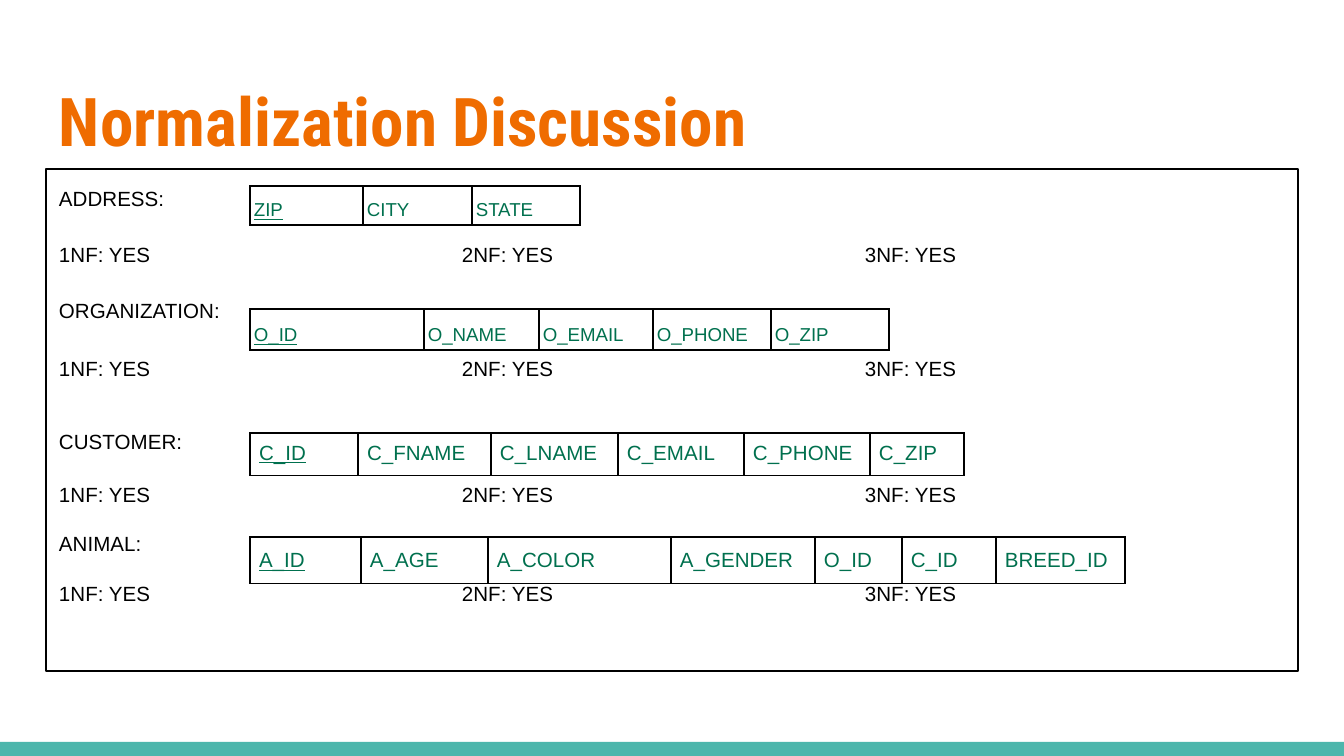
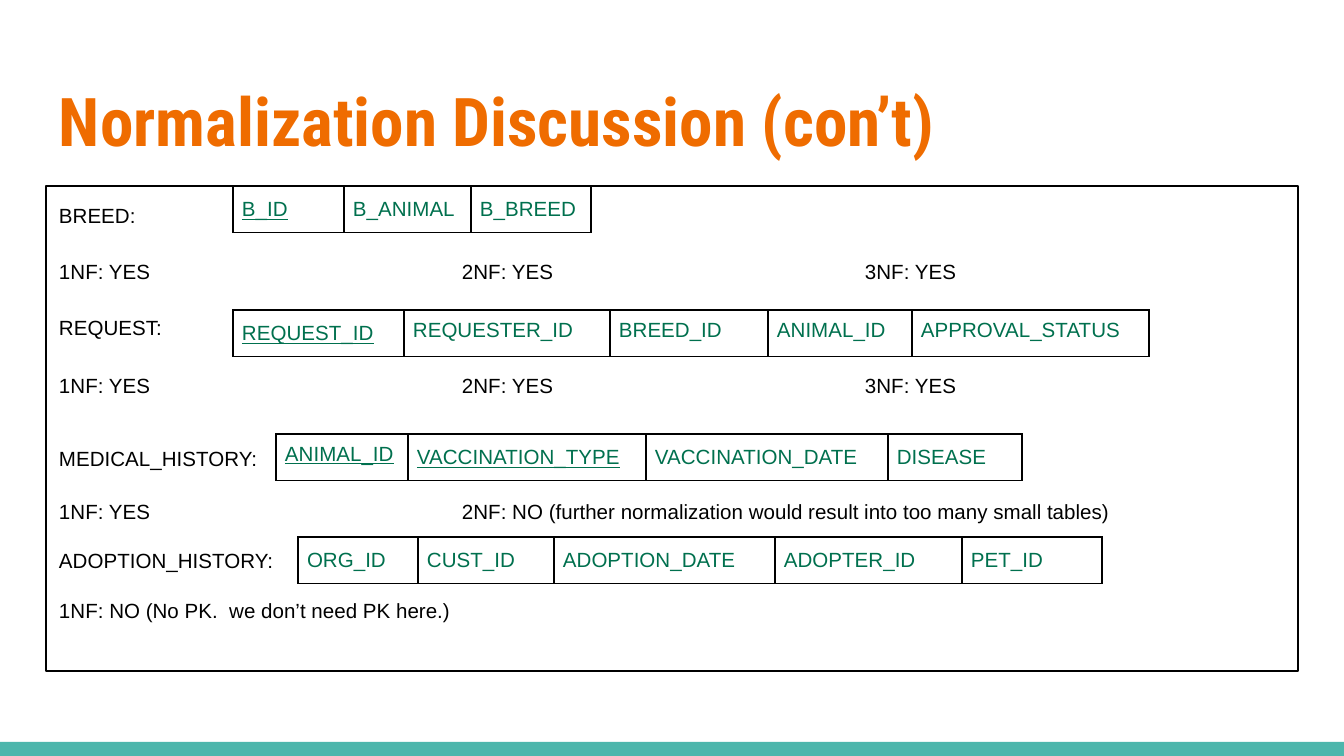
from lxml import etree
from pptx import Presentation
from pptx.dml.color import RGBColor
from pptx.enum.shapes import MSO_SHAPE
from pptx.enum.text import MSO_ANCHOR, PP_ALIGN
from pptx.oxml.ns import qn
from pptx.util import Emu, Pt

RECTANGLE = MSO_SHAPE.RECTANGLE
TOP, BOTTOM = MSO_ANCHOR.TOP, MSO_ANCHOR.BOTTOM
LEFT = PP_ALIGN.LEFT

# ---- Content -------------------------------------------------------------
# Field: (name, column width, marks); marks: k = key, s = single line spacing
# Table: (left, top, height, style, fields)
ALL_YES = ("1NF: YES", "2NF: YES", "3NF: YES")

SLIDES = [
    {
        "title": "Normalization Discussion",
        "panel_top": 169,
        "relations": [
            ("ADDRESS:", ALL_YES, (250, 186, 39, "compact", [
                ("ZIP", 113, "k"), ("CITY", 109, ""), ("STATE", 108, "")])),
            ("ORGANIZATION:", ALL_YES, (250, 309, 41, "compact", [
                ("O_ID", 174, "k"), ("O_NAME", 115, ""), ("O_EMAIL", 114, ""),
                ("O_PHONE", 118, ""), ("O_ZIP", 118, "")])),
            ("CUSTOMER:", ALL_YES, (250, 433, 42, "regular", [
                ("C_ID", 108, "ks"), ("C_FNAME", 133, "s"),
                ("C_LNAME", 127, "s"), ("C_EMAIL", 126, "s"),
                ("C_PHONE", 126, "s"), ("C_ZIP", 94, "s")])),
            ("ANIMAL:", ALL_YES, (250, 537, 45, "regular", [
                ("A_ID", 111, "k"), ("A_AGE", 127, ""), ("A_COLOR", 183, ""),
                ("A_GENDER", 144, ""), ("O_ID", 87, ""), ("C_ID", 94, ""),
                ("BREED_ID", 129, "")])),
        ],
    },
    {
        "title": "Normalization Discussion (con’t)",
        "panel_top": 186,
        "relations": [
            ("BREED:", ALL_YES, (233, 186, 45, "regular", [
                ("B_ID", 111, "k"), ("B_ANIMAL", 127, ""),
                ("B_BREED", 120, "")])),
            ("REQUEST:", ALL_YES, (233, 310, 45, "thin", [
                ("REQUEST_ID", 171, "k"), ("REQUESTER_ID", 206, "s"),
                ("BREED_ID", 158, "s"), ("ANIMAL_ID", 144, "s"),
                ("APPROVAL_STATUS", 237, "s")])),
            ("MEDICAL_HISTORY:",
             ("1NF: YES", "2NF: NO (further normalization would result "
              "into too many small tables)"),
             (276, 434, 45, "regular", [
                 ("ANIMAL_ID", 132, "ks"), ("VACCINATION_TYPE", 238, "k"),
                 ("VACCINATION_DATE", 242, ""), ("DISEASE", 134, "")])),
            ("ADOPTION_HISTORY:",
             ("1NF: NO (No PK.  we don’t need PK here.)",),
             (298, 537, 45, "regular", [
                 ("ORG_ID", 120, ""), ("CUST_ID", 136, ""),
                 ("ADOPTION_DATE", 221, ""), ("ADOPTER_ID", 187, ""),
                 ("PET_ID", 140, "")])),
        ],
    },
]

# ---- Theme and layout ----------------------------------------------------
THEME = {
    "band": "4DB6AC", "title": "EF6C00", "text": "000000", "line": "000000",
    "field": "00704E", "title_font": "Roboto Condensed", "body_font": "Arial",
    "title_size": 36, "body_size": 11, "panel_line": 0.75, "key_line": 1,
    "spacing": 1.15,
}
# Table style: type size, cell inset, anchor, border width
TABLE_STYLES = {
    "compact": (10, 4, BOTTOM, 1),
    "regular": (11, 9, TOP, 1),
    "thin": (11, 9, TOP, 0.75),
}
PAGE_WIDTH, PAGE_HEIGHT, BAND_TOP = 1344, 756, 742
MARGIN, INSET = 46, 13
TITLE_TOP, TITLE_HEIGHT = 66, 103
PANEL_BOTTOM = 671
SPACES_ABOVE = [0, 28, 28, 29, 45, 25, 21, 21]
TAB_STOPS = (403, 806)


def px(pixels):
    return Emu(round(pixels * 914400 / 134.4))


def color(name):
    return RGBColor.from_string(THEME[name])


def frame_insets(frame, inset):
    frame.margin_left = frame.margin_right = px(inset)
    frame.margin_top = frame.margin_bottom = px(inset)


def format_runs(para, font, size, color_name, bold=False, underline=False):
    para.alignment = LEFT
    for span in para.runs:
        span.font.name = font
        span.font.size = Pt(size)
        span.font.bold = bold
        span.font.underline = underline
        span.font.color.rgb = color(color_name)


def add_tab_stops(para):
    tabs = etree.SubElement(para._p.get_or_add_pPr(), qn("a:tabLst"))
    for stop in TAB_STOPS:
        etree.SubElement(tabs, qn("a:tab"), pos=str(px(stop)), algn="l")


def add_band(page):
    band = page.shapes.add_shape(RECTANGLE, 0, px(BAND_TOP), px(PAGE_WIDTH),
                                 px(PAGE_HEIGHT - BAND_TOP))
    band.shadow.inherit = False
    band.fill.solid()
    band.fill.fore_color.rgb = color("band")
    band.line.fill.background()


def add_title(page, text):
    box = page.shapes.add_textbox(px(MARGIN), px(TITLE_TOP),
                                  px(PAGE_WIDTH - 2 * MARGIN),
                                  px(TITLE_HEIGHT))
    frame = box.text_frame
    frame.word_wrap = True
    frame.vertical_anchor = TOP
    frame_insets(frame, INSET)
    frame.text = text
    format_runs(frame.paragraphs[0], THEME["title_font"],
                THEME["title_size"], "title", bold=True)


def add_panel(page, top, relations):
    panel = page.shapes.add_shape(RECTANGLE, px(MARGIN), px(top),
                                  px(PAGE_WIDTH - 2 * MARGIN),
                                  px(PANEL_BOTTOM - top))
    panel.shadow.inherit = False
    panel.fill.background()
    panel.line.color.rgb = color("line")
    panel.line.width = Pt(THEME["panel_line"])
    frame = panel.text_frame
    frame.word_wrap = True
    frame.vertical_anchor = TOP
    frame_insets(frame, INSET)
    lines = []
    for name, verdicts, _ in relations:
        lines += [name, "\t".join(verdicts)]
    frame.text = "\n".join(lines)
    for para, space in zip(frame.paragraphs, SPACES_ABOVE):
        para.line_spacing = THEME["spacing"]
        para.space_before = px(space)
        add_tab_stops(para)
        format_runs(para, THEME["body_font"], THEME["body_size"], "text")


def set_borders(cell, left, others):
    properties = cell._tc.get_or_add_tcPr()
    widths = {"a:lnL": left, "a:lnR": others, "a:lnT": others, "a:lnB": others}
    for index, (tag, width) in enumerate(widths.items()):
        line = etree.Element(qn(tag), w=str(Pt(width)))
        fill = etree.SubElement(line, qn("a:solidFill"))
        etree.SubElement(fill, qn("a:srgbClr"), val=THEME["line"])
        properties.insert(index, line)


def add_relation_table(page, left, top, height, style, fields):
    size, inset, anchor, border = TABLE_STYLES[style]
    total = sum(width for _, width, _ in fields)
    table = page.shapes.add_table(1, len(fields), px(left), px(top),
                                  px(total), px(height)).table
    table.first_row = table.horz_banding = False
    table.rows[0].height = px(height)
    previous = None
    for index, (name, width, marks) in enumerate(fields):
        table.columns[index].width = px(width)
        cell = table.cell(0, index)
        cell.fill.background()
        cell.vertical_anchor = anchor
        frame_insets(cell, inset)
        is_key = "k" in marks
        edge = THEME["key_line"] if is_key else border
        set_borders(cell, previous or edge, edge)
        previous = edge
        cell.text_frame.text = name
        para = cell.text_frame.paragraphs[0]
        para.line_spacing = 1.0 if "s" in marks else THEME["spacing"]
        format_runs(para, THEME["body_font"], size, "field", underline=is_key)


# ---- Build ---------------------------------------------------------------
deck = Presentation()
deck.slide_width, deck.slide_height = px(PAGE_WIDTH), px(PAGE_HEIGHT)
blank = deck.slide_layouts[6]
for content in SLIDES:
    page = deck.slides.add_slide(blank)
    add_band(page)
    add_title(page, content["title"])
    add_panel(page, content["panel_top"], content["relations"])
    for _, _, table_parts in content["relations"]:
        add_relation_table(page, *table_parts)
deck.save("out.pptx")
